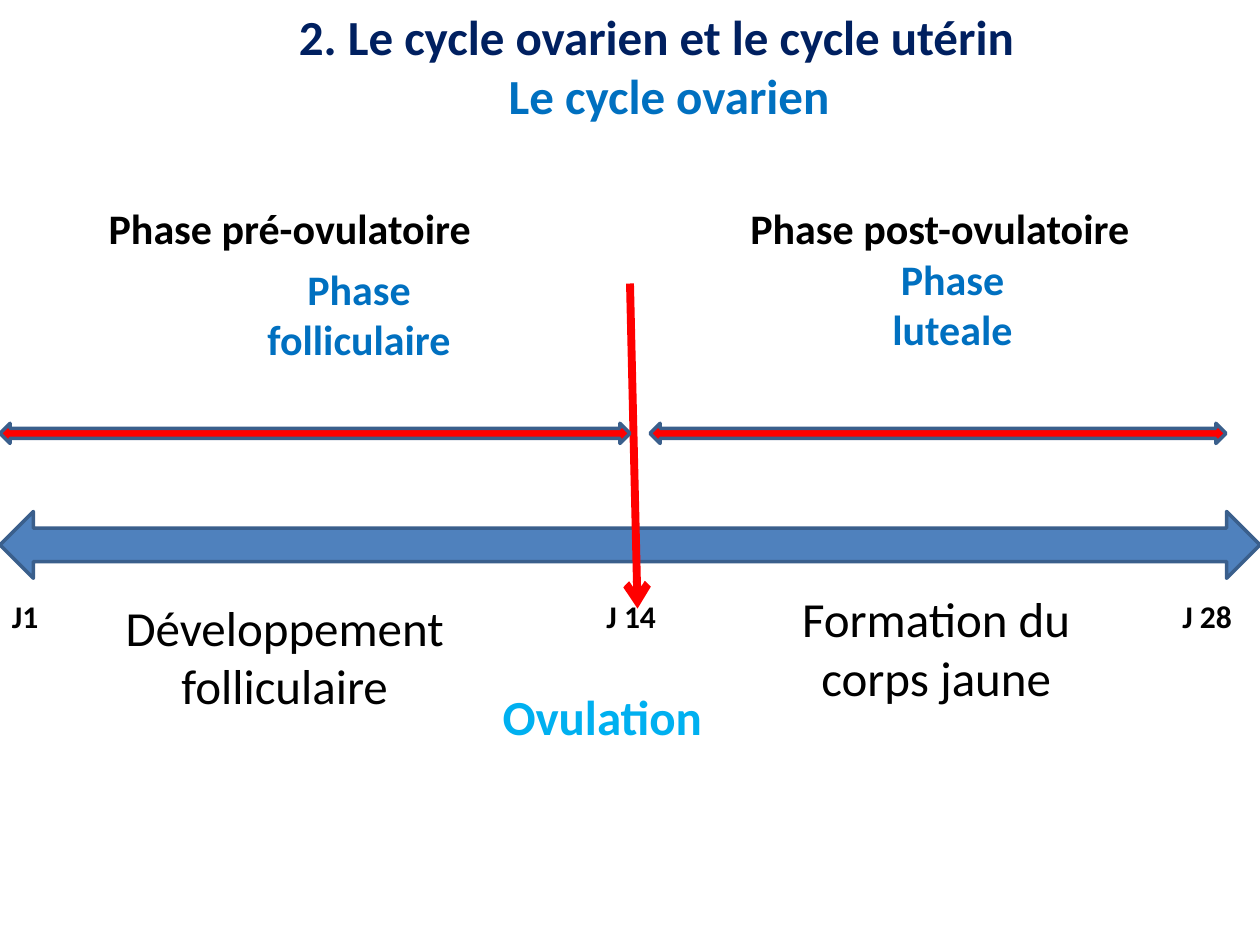
import dataclasses
import pptx
import pptx.dml.color
import pptx.enum.shapes
import pptx.enum.text
import pptx.oxml
import pptx.oxml.ns
import pptx.util
from pptx.util import Inches

RGB = pptx.dml.color.RGBColor.from_string
SHAPE = pptx.enum.shapes.MSO_SHAPE


@dataclasses.dataclass(frozen=True)
class Theme:
    font: str = "Calibri"
    black: str = "000000"
    navy: str = "002060"
    blue: str = "0070C0"
    sky: str = "00B0F0"
    red: str = "FF0000"
    bar: str = "4F81BD"
    edge: str = "3A5F8C"
    big: int = 28
    mid: int = 24
    small: int = 18


THEME = Theme()


def label(slide, center, top, width, lines, size, color, bold=True):
    """Centre lines of text on a given x position."""
    height = 0.1 + len(lines) * size * 0.017
    box = slide.shapes.add_textbox(
        Inches(center - width / 2), Inches(top), Inches(width), Inches(height))
    frame = box.text_frame
    frame.word_wrap = True
    frame.text = "\n".join(lines)
    for para in frame.paragraphs:
        para.alignment = pptx.enum.text.PP_ALIGN.CENTER
        para.font.name = THEME.font
        para.font.size = pptx.util.Pt(size)
        para.font.bold = bold
        para.font.color.rgb = RGB(color)


def span(slide, left, top, width, height, fill):
    """Draw a double-headed block arrow."""
    arrow = slide.shapes.add_shape(
        SHAPE.LEFT_RIGHT_ARROW,
        Inches(left), Inches(top), Inches(width), Inches(height))
    arrow.shadow.inherit = False
    arrow.fill.solid()
    arrow.fill.fore_color.rgb = RGB(fill)
    arrow.line.color.rgb = RGB(THEME.edge)
    arrow.line.width = pptx.util.Pt(2)


def marker(slide, left, top, width, height):
    """Draw the ovulation arrow down across the time line."""
    line = slide.shapes.add_connector(
        pptx.enum.shapes.MSO_CONNECTOR.STRAIGHT,
        Inches(left), Inches(top), Inches(left + width), Inches(top + height))
    line.line.color.rgb = RGB(THEME.red)
    line.line.width = pptx.util.Pt(4.5)
    stroke = line.line._get_or_add_ln()
    tail = pptx.oxml.parse_xml(
        f'<a:tailEnd {pptx.oxml.ns.nsdecls("a")} type="arrow"/>')
    stroke.append(tail)
    props = stroke.getparent()
    props.append(pptx.oxml.parse_xml(
        f'<a:effectLst {pptx.oxml.ns.nsdecls("a")}/>'))


def header(slide, left, top, width):
    mid = left + width / 2
    label(slide, mid, top, width, ["2. Le cycle ovarien et le cycle utérin"],
          THEME.big, THEME.navy)
    label(slide, mid + 0.1, top + 0.47, width, ["Le cycle ovarien"],
          THEME.big, THEME.blue)


def axis(slide, left, top, width):
    span(slide, left, top, width, 0.53, THEME.bar)
    for day, shift in (("J1", 0.2), ("J 14", 5.01), ("J 28", 9.58)):
        label(slide, left + shift, top + 0.63, 0.8, [day],
              THEME.small, THEME.black)


def phase(slide, left, top, width, title, name, event):
    """Place a phase; name and event are (centre, top, lines) from the box."""
    label(slide, left + 2.3, top, 3.8, [title], THEME.mid, THEME.black)
    shift, down, lines = name
    label(slide, left + shift, top + down, 2, lines, THEME.mid, THEME.blue)
    span(slide, left, top + 1.8, width, 0.16, THEME.red)
    shift, down, lines = event
    label(slide, left + shift, top + down, 3, lines,
          THEME.big, THEME.black, bold=False)


def main():
    deck = pptx.Presentation()
    deck.slide_width, deck.slide_height = Inches(10), Inches(7.5)
    slide = deck.slides.add_slide(deck.slide_layouts[6])
    header(slide, 1.21, 0, 8)
    axis(slide, 0, 4.06, 10)
    marker(slide, 5, 2.25, 0.06, 2.58)
    phase(slide, 0, 1.56, 5, "Phase pré-ovulatoire",
          (2.85, 0.48, ["Phase", "folliculaire"]),
          (2.26, 3.13, ["Développement", "folliculaire"]))
    phase(slide, 5.16, 1.56, 4.57, "Phase post-ovulatoire",
          (2.4, 0.4, ["Phase", "luteale"]),
          (2.27, 3.06, ["Formation du", "corps jaune"]))
    label(slide, 4.78, 5.4, 1.8, ["Ovulation"], THEME.big, THEME.sky)
    deck.save("out.pptx")


if __name__ == "__main__":
    main()
